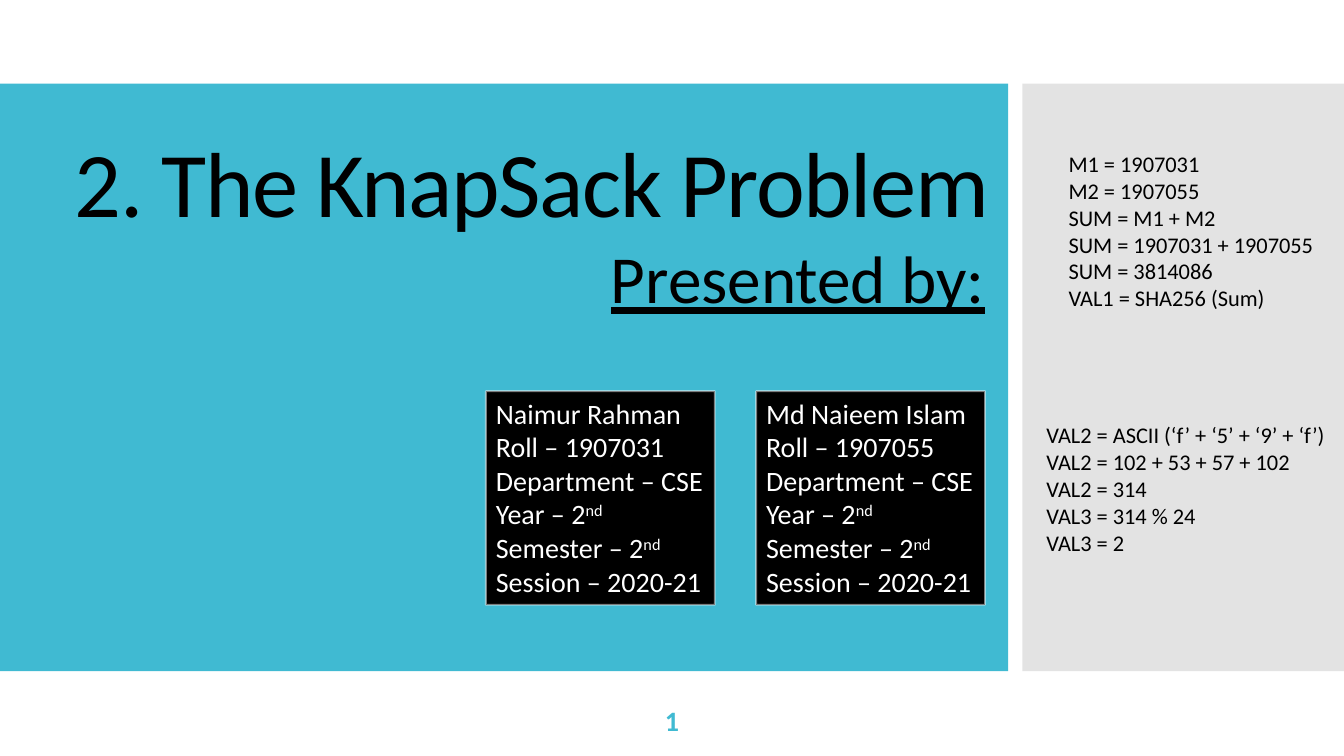
from lxml import etree
from pptx import Presentation
from pptx.dml.color import RGBColor
from pptx.enum.shapes import MSO_SHAPE
from pptx.enum.text import MSO_ANCHOR, MSO_AUTO_SIZE, PP_ALIGN
from pptx.oxml.ns import qn
from pptx.util import Inches, Pt

RECT = MSO_SHAPE.RECTANGLE
TOP, MIDDLE = MSO_ANCHOR.TOP, MSO_ANCHOR.MIDDLE
FIT_SHAPE, NO_FIT = MSO_AUTO_SIZE.SHAPE_TO_FIT_TEXT, MSO_AUTO_SIZE.NONE
LEFT, CENTER, RIGHT = PP_ALIGN.LEFT, PP_ALIGN.CENTER, PP_ALIGN.RIGHT
TEAL, GRAY, PALE = "40BAD2", "C8C8C8", "F9F9F9"
BLACK, WHITE = "000000", "FFFFFF"


def paint(fill, color, alpha=None):
    fill.solid()
    fill.fore_color.rgb = RGBColor.from_string(color)
    if alpha:
        clr = fill._xPr.find(".//" + qn("a:srgbClr"))
        etree.SubElement(clr, qn("a:alpha")).set("val", str(alpha * 1000))


def write(tf, lines, size, color=BLACK, align=LEFT, wrap=True, fit=FIT_SHAPE, anchor=TOP):
    tf.word_wrap = wrap
    tf.auto_size = fit
    tf.vertical_anchor = anchor
    for i, line in enumerate(lines):
        p = tf.paragraphs[0] if i == 0 else tf.add_paragraph()
        p.alignment = align
        for j, text in enumerate(line.split("^")):
            r = p.add_run()
            r.text = text
            r.font.name = "Calibri"
            r.font.size = Pt(size)
            paint(r.font.fill, color)
            if j == 1:
                r.font._element.set("baseline", "30000")


prs = Presentation()
prs.slide_width, prs.slide_height = Inches(13.33), Inches(7.5)
s = prs.slides.add_slide(prs.slide_layouts[5])

for left, width, color, alpha in [(0, 10, TEAL, None), (10.14, 3.2, GRAY, 50)]:
    panel = s.shapes.add_shape(RECT, Inches(left), Inches(0.83), Inches(width), Inches(5.83))
    panel.shadow.inherit = False
    paint(panel.fill, color, alpha)
    panel.line.fill.background()

title = s.shapes.title
s.shapes._spTree.append(title._element)
title.left, title.top = Inches(0.1), Inches(1.29)
title.width, title.height = Inches(9.81), Inches(1.15)
write(title.text_frame, ["2. The KnapSack Problem"], 66, align=RIGHT, fit=NO_FIT, anchor=MIDDLE)
p = title.text_frame.paragraphs[0]
p.line_spacing = 0.9
p.runs[0].font._element.set("spc", "-100")

heading = s.shapes.add_textbox(Inches(5.96), Inches(2.3), Inches(3.95), Inches(0.91))
write(heading.text_frame, ["Presented by:"], 48, wrap=False)
heading.text_frame.paragraphs[0].runs[0].font.underline = True

presenters = [("Naimur Rahman", "1907031"), ("Md Naieem Islam", "1907055")]
for i, (name, roll) in enumerate(presenters):
    card = s.shapes.add_shape(RECT, Inches(4.82 + 2.68 * i), Inches(3.88), Inches(2.27), Inches(2.12))
    card.shadow.inherit = False
    paint(card.fill, BLACK)
    card.line.width = Pt(1.35)
    paint(card.line.fill, PALE, 50)
    lines = [name, f"Roll – {roll}", "Department – CSE", "Year – 2^nd", "Semester – 2^nd", "Session – 2020-21"]
    write(card.text_frame, lines, 20, WHITE, wrap=False)

calculations = [
    (10.5, 1.44, 3.13, 1.72, [
        "M1 = 1907031", "M2 = 1907055", "SUM = M1 + M2",
        "SUM = 1907031 + 1907055", "SUM = 3814086", "VAL1 = SHA256 (Sum)"]),
    (10.28, 4.13, 3.05, 1.45, [
        "VAL2 = ASCII (‘f’ + ‘5’ + ‘9’ + ‘f’)", "VAL2 = 102 + 53 + 57 + 102",
        "VAL2 = 314", "VAL3 = 314 % 24", "VAL3 = 2"]),
]
for left, top, width, height, lines in calculations:
    box = s.shapes.add_textbox(Inches(left), Inches(top), Inches(width), Inches(height))
    write(box.text_frame, lines, 16)

number = s.shapes.add_textbox(Inches(5.83), Inches(6.95), Inches(1.67), Inches(0.4))
write(number.text_frame, ["1"], 20, TEAL, CENTER, fit=NO_FIT, anchor=MIDDLE)
number.text_frame.paragraphs[0].runs[0].font.bold = True

prs.save("out.pptx")
